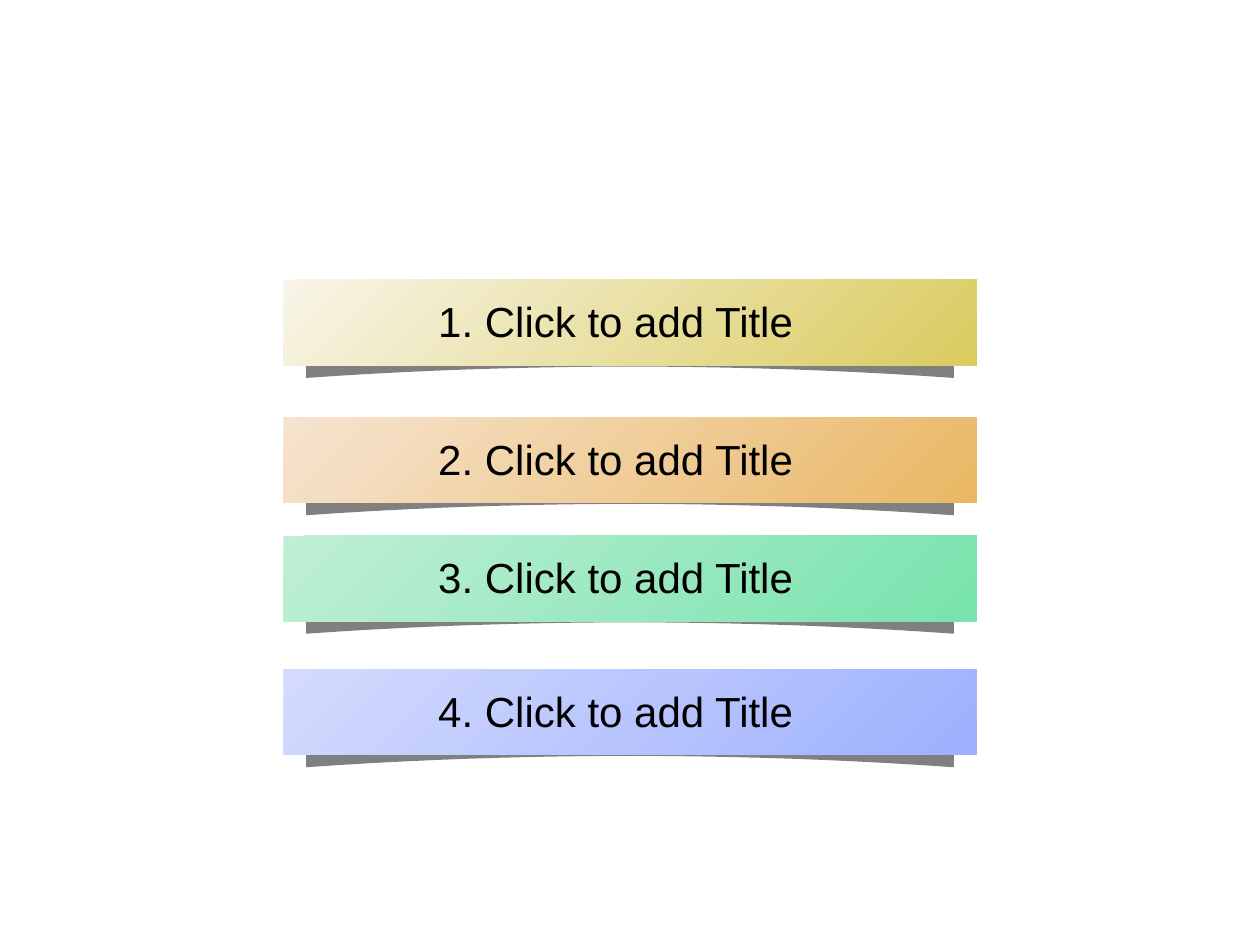
from dataclasses import dataclass

from pptx import Presentation
from pptx.dml.color import RGBColor
from pptx.enum.shapes import MSO_SHAPE
from pptx.enum.text import MSO_AUTO_SIZE
from pptx.shapes.shapetree import GroupShapes, SlideShapes
from pptx.util import Inches, Pt

BLACK = RGBColor(0x00, 0x00, 0x00)
GRAY = RGBColor(0x80, 0x80, 0x80)
CREAM, GOLD = RGBColor(0xF8, 0xF5, 0xE9), RGBColor(0xDA, 0xCB, 0x5E)
PEACH, AMBER = RGBColor(0xF6, 0xE4, 0xD0), RGBColor(0xEA, 0xB7, 0x64)
MINT, GREEN = RGBColor(0xC0, 0xEF, 0xD5), RGBColor(0x77, 0xE3, 0xAD)
ICE, BLUE = RGBColor(0xD4, 0xDB, 0xFE), RGBColor(0x9E, 0xB0, 0xFE)

MID = 5.0
HALF = 2.57
STEPS = 20


@dataclass
class Bar:
    text: str
    top: float
    light: RGBColor
    dark: RGBColor


BARS = [
    Bar("3. Click to add Title", 4.25, MINT, GREEN),
    Bar("2. Click to add Title", 3.31, PEACH, AMBER),
    Bar("1. Click to add Title", 2.22, CREAM, GOLD),
    Bar("4. Click to add Title", 5.31, ICE, BLUE),
]


def add_shade(shapes: GroupShapes, top: float) -> None:
    """Draw the gray shadow, whose lower edge is a shallow parabola."""
    ratios = [1 - 2 * i / STEPS for i in range(STEPS + 1)]
    points = [(MID + HALF * t, top + 0.24 + 0.09 * t * t) for t in ratios]
    points += [(MID - HALF, top + 0.08), (MID, top), (MID + HALF, top + 0.08)]
    start, *rest = [(Inches(x), Inches(y)) for x, y in points]
    pen = shapes.build_freeform(*start)
    pen.add_line_segments(rest, close=True)
    shade = pen.convert_to_shape()
    shade.shadow.inherit = False
    shade.fill.solid()
    shade.fill.fore_color.rgb = GRAY
    shade.line.fill.background()


def add_panel(shapes: GroupShapes, bar: Bar) -> None:
    panel = shapes.add_shape(
        MSO_SHAPE.RECTANGLE, Inches(2.25), Inches(bar.top), Inches(5.5), Inches(0.68)
    )
    panel.shadow.inherit = False
    panel.line.fill.background()
    panel.fill.gradient()
    panel.fill.gradient_angle = 315
    for stop, color in zip(panel.fill.gradient_stops, (bar.light, bar.dark)):
        stop.color.rgb = color
    first, last = panel.fill.gradient_stops
    first.position, last.position = 0, 1


def add_label(shapes: SlideShapes, bar: Bar) -> None:
    box = shapes.add_textbox(
        Inches(3.38), Inches(bar.top + 0.08), Inches(3.04), Inches(0.5)
    )
    frame = box.text_frame
    frame.word_wrap = False
    frame.auto_size = MSO_AUTO_SIZE.SHAPE_TO_FIT_TEXT
    run = frame.paragraphs[0].add_run()
    run.text = bar.text
    run.font.name = "Arial"
    run.font.size = Pt(24)
    run.font.color.rgb = BLACK


def main() -> None:
    deck = Presentation()
    deck.slide_width, deck.slide_height = Inches(10), Inches(7.5)
    slide = deck.slides.add_slide(deck.slide_layouts.get_by_name("Blank"))
    for bar in BARS:
        group = slide.shapes.add_group_shape()
        add_shade(group.shapes, bar.top + 0.45)
        add_panel(group.shapes, bar)
        add_label(slide.shapes, bar)
    deck.save("out.pptx")


if __name__ == "__main__":
    main()
